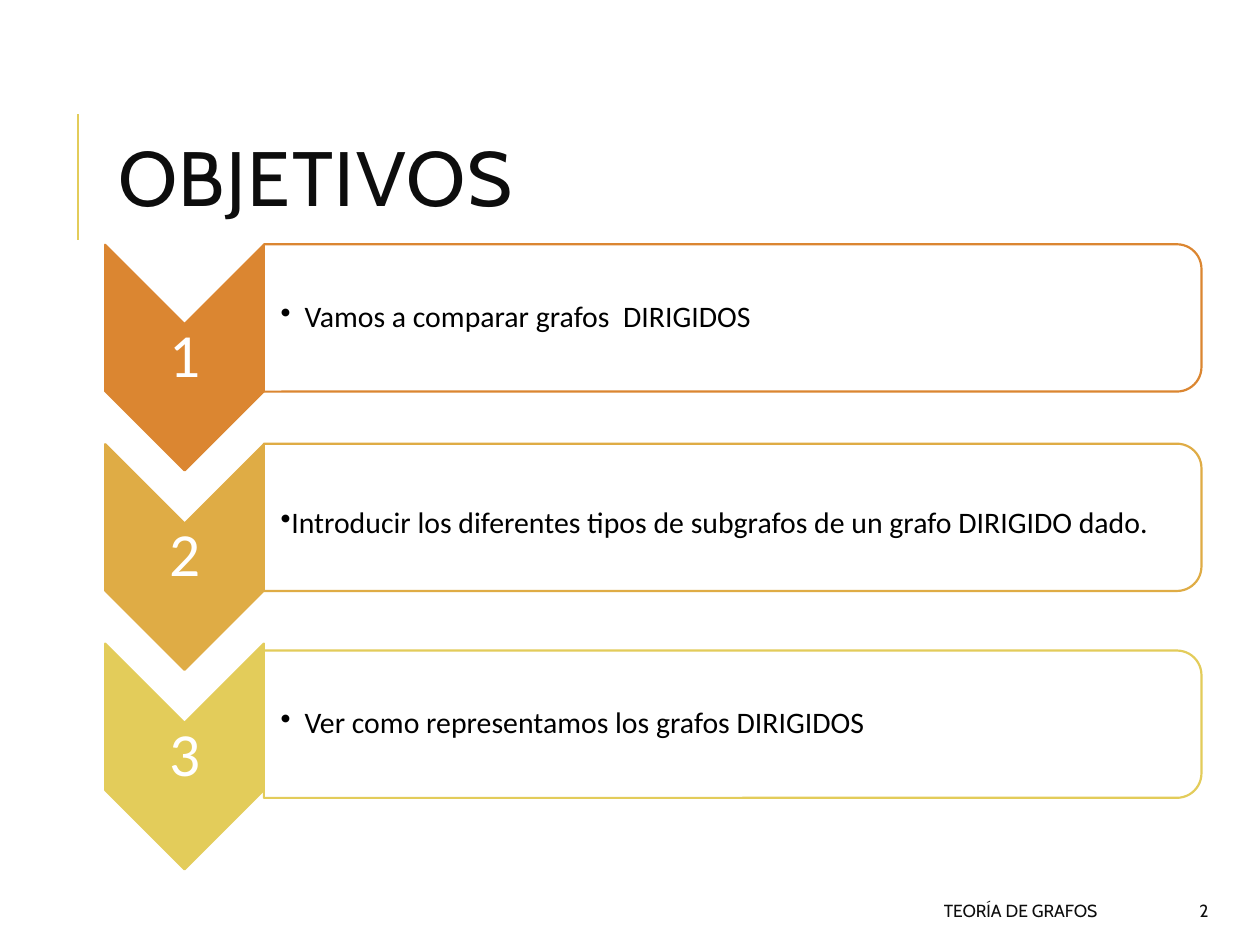
from dataclasses import dataclass

from lxml.etree import SubElement
from pptx import Presentation
from pptx.dml.color import RGBColor
from pptx.enum.shapes import MSO_CONNECTOR, MSO_SHAPE as SHAPE
from pptx.enum.text import MSO_ANCHOR as ANCHOR, PP_ALIGN as ALIGN
from pptx.oxml.ns import qn
from pptx.util import Cm, Pt


@dataclass(frozen=True)
class Theme:
    steps: tuple = ("DB8631", "DFAC45", "E3CC5A")
    accent: str = "E3CC5A"
    ink: str = "0D0D0D"
    black: str = "000000"
    white: str = "FFFFFF"
    head_font: str = "Cabin"
    body_font: str = "Calibri"
    title_size: int = 44
    number_size: int = 35
    body_size: int = 17
    footer_size: int = 10
    outline: float = 1.25
    rule: float = 1.5


def write(tf, text, *, font, size, color, align=ALIGN.LEFT, line=1.0,
          tracking=0, bullet=None):
    """Fill a text frame; bullet is a (left margin, first indent) pair."""
    p = tf.paragraphs[0]
    p.alignment, p.line_spacing = align, line
    if bullet:
        pPr = p._p.get_or_add_pPr()
        for name, length in zip(("marL", "indent"), bullet):
            pPr.set(name, str(Cm(length)))
        SubElement(pPr, qn("a:buChar"), char="•")
    r = p.add_run()
    r.text = text
    r.font.name, r.font.size = font, Pt(size)
    r.font.color.rgb = RGBColor.from_string(color)
    if tracking:
        r._r.get_or_add_rPr().set("spc", str(tracking * 100))


class Deck:
    def __init__(self, prs, theme):
        self.theme = theme
        self.s = prs.slides.add_slide(prs.slide_layouts[6])

    def text(self, x, y, w, h, text, insets=(0.25, 0.13, 0.25, 0.13), **fmt):
        sp = self.s.shapes.add_textbox(Cm(x), Cm(y), Cm(w), Cm(h))
        tf = sp.text_frame
        tf.word_wrap, tf.vertical_anchor = True, ANCHOR.MIDDLE
        (tf.margin_left, tf.margin_top,
         tf.margin_right, tf.margin_bottom) = map(Cm, insets)
        write(tf, text, **fmt)

    def turned(self, kind, cx, cy, w, h, fill, line, alpha=None):
        """Shape turned a quarter clockwise about its centre."""
        sp = self.s.shapes.add_shape(
            kind, Cm(cx - w / 2), Cm(cy - h / 2), Cm(w), Cm(h))
        sp.rotation = 90
        sp.shadow.inherit = False
        sp.fill.solid()
        sp.fill.fore_color.rgb = RGBColor.from_string(fill)
        if alpha:
            clr = sp._element.spPr.find(qn("a:solidFill"))[0]
            SubElement(clr, qn("a:alpha"), val=str(alpha * 1000))
        sp.line.color.rgb = RGBColor.from_string(line)
        sp.line.width = Pt(self.theme.outline)

    def rule(self, x, y1, y2):
        c = self.s.shapes.add_connector(
            MSO_CONNECTOR.STRAIGHT, Cm(x), Cm(y1), Cm(x), Cm(y2))
        c.line.color.rgb = RGBColor.from_string(self.theme.accent)
        c.line.width = Pt(self.theme.rule)
        SubElement(c._element.spPr, qn("a:effectLst"))

    def step(self, number, cy, box_cy, text_cy, text, bullet):
        t = self.theme
        color = t.steps[number - 1]
        self.turned(SHAPE.CHEVRON, 3.72, cy, 4.55, 3.2, color, color)
        self.text(2.13, cy - 0.69, 3.2, 1.38, str(number), (0.05,) * 4,
                  font=t.body_font, size=t.number_size, color=t.white,
                  align=ALIGN.CENTER, line=0.9)
        self.turned(SHAPE.ROUND_2_SAME_RECTANGLE, 14.77, box_cy, 2.97, 18.9,
                    t.white, color, alpha=90)
        self.text(5.33, text_cy - 1.34, 18.75, 2.68, text,
                  (0.33, 0.03, 0.03, 0.03), font=t.body_font,
                  size=t.body_size, color=t.black, line=0.9, bullet=bullet)


def main():
    prs = Presentation()
    prs.slide_width, prs.slide_height = Cm(25.4), Cm(19.05)
    t = Theme()
    d = Deck(prs, t)

    # Title with its side rule
    d.rule(1.57, 4.83, 2.29)
    d.text(2.13, 1.63, 20.24, 4.17, "OBJETIVOS", font=t.head_font,
           size=t.title_size, color=t.ink, line=0.8, tracking=1)

    # Numbered goals: box centre, text centre, wording, bullet indents
    hanging, tight = (0.48, -0.48), (0, 0)
    goals = [
        (6.41, 6.41, "Vamos a comparar grafos  DIRIGIDOS", hanging),
        (10.43, 10.57, "Introducir los diferentes tipos de subgrafos "
                       "de un grafo DIRIGIDO dado.", tight),
        (14.6, 14.6, "Ver como representamos los grafos DIRIGIDOS", hanging),
    ]
    for i, goal in enumerate(goals):
        d.step(i + 1, 7.21 + 4.02 * i, *goal)

    # Footer and slide number
    for x, w, text in ((10.08, 12.29, "TEORÍA DE GRAFOS"), (22.58, 2.03, "2")):
        d.text(x, 17.98, w, 0.76, text, font=t.head_font,
               size=t.footer_size, color=t.ink, align=ALIGN.RIGHT)

    prs.save("out.pptx")


if __name__ == "__main__":
    main()
